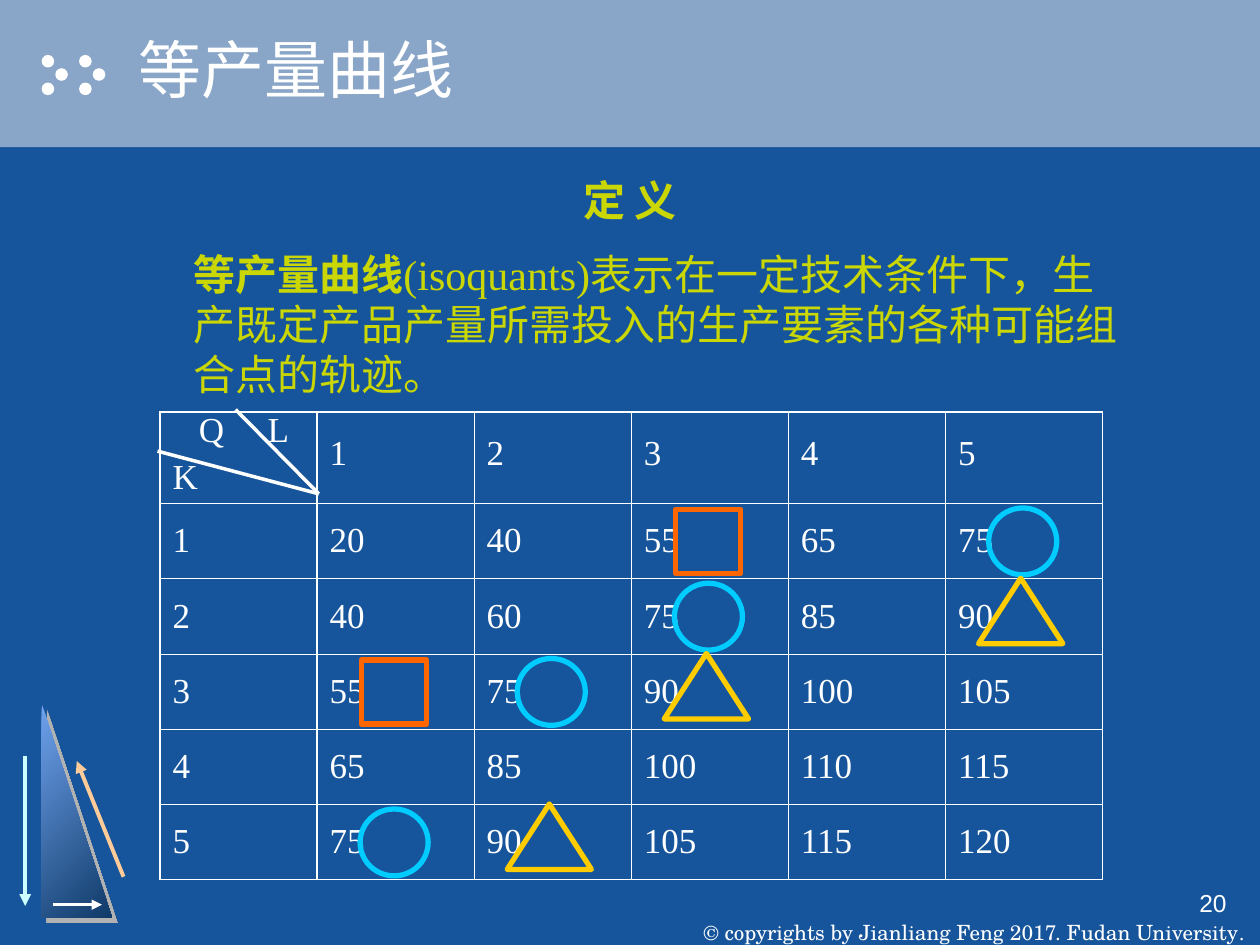
import pptx
import pptx.dml.color
import pptx.enum.dml
import pptx.enum.lang
import pptx.enum.shapes
import pptx.enum.text
import pptx.oxml
import pptx.oxml.ns
import pptx.util

Pt = pptx.util.Pt
SHAPE = pptx.enum.shapes.MSO_SHAPE
ALIGN = pptx.enum.text.PP_ALIGN
ANCHOR = pptx.enum.text.MSO_ANCHOR
SERIF = "Times New Roman"
NS = pptx.oxml.ns.nsdecls("a")

COLORS = {
    "background": "16559B", "band": "89A5C7", "white": "FFFFFF",
    "definition": "CAD704", "title_shadow": "331133",
    "slope_light": "6FA2ED", "slope_dark": "0F3A68", "slope_shadow": "B2B2B2",
    "down": "CCFFFF", "up": "FFCC99",
    "square": "FF6600", "circle": "00CCFF", "triangle": "FFCC00",
}

# Output for capital K (row header) and labour L (column header)
OUTPUTS = [
    [20, 40, 55, 65, 75],
    [40, 60, 75, 85, 90],
    [55, 75, 90, 100, 105],
    [65, 85, 100, 110, 115],
    [75, 90, 105, 115, 120],
]
TABLE_LEFT, TABLE_TOP = 91.4, 235.4
COLUMN_WIDTH, HEADER_HEIGHT, ROW_HEIGHT = 89.8, 52.3, 43

# Output level: shape, colour, offset in the cell, width and height
ISOQUANT_MARKS = {
    55: (SHAPE.RECTANGLE, "square", 25.2, 3.4, 37.4, 36.7),
    75: (SHAPE.OVAL, "circle", 24.6, 2.6, 38.9, 38.2),
    90: (SHAPE.ISOSCELES_TRIANGLE, "triangle", 18.8, -0.3, 48.2, 37.4),
}


def rgb(name):
    return pptx.dml.color.RGBColor.from_string(COLORS[name])


def shadow_xml(color, distance):
    """Return an effect list with a hard shadow to the lower right."""
    return pptx.oxml.parse_xml(
        f'<a:effectLst {NS}><a:outerShdw dist="{Pt(distance)}" dir="2700000">'
        f'<a:srgbClr val="{COLORS[color]}"/></a:outerShdw></a:effectLst>')


def write(paragraph, text, size=20, font=SERIF, color="white", bold=False,
          align=None, before=None, spacing=None, shadow=None):
    """Append a formatted run to a paragraph and set the paragraph's layout."""
    if align is not None:
        paragraph.alignment = align
    if before is not None:
        paragraph.space_before = Pt(before)
    if spacing is not None:
        paragraph.line_spacing = spacing
    run = paragraph.add_run()
    run.text = text
    run.font.size = Pt(size)
    run.font.name = font
    run.font.bold = bold
    run.font.color.rgb = rgb(color)
    run.font.language_id = pptx.enum.lang.MSO_LANGUAGE_ID.SIMPLIFIED_CHINESE
    if shadow:
        fill = run.font._element.find(pptx.oxml.ns.qn("a:solidFill"))
        fill.addnext(shadow_xml(shadow, 1))


def add_text_frame(slide, left, top, width, height, anchor=ANCHOR.TOP, wrap=True):
    frame = slide.shapes.add_textbox(Pt(left), Pt(top), Pt(width), Pt(height)).text_frame
    frame.word_wrap = wrap
    frame.vertical_anchor = anchor
    return frame


def add_shape(shapes, kind, left, top, width, height, fill=None, outline=None):
    shape = shapes.add_shape(kind, Pt(left), Pt(top), Pt(width), Pt(height))
    shape.shadow.inherit = False
    if fill:
        shape.fill.solid()
        shape.fill.fore_color.rgb = rgb(fill)
    else:
        shape.fill.background()
    if outline:
        shape.line.color.rgb = rgb(outline)
        shape.line.width = Pt(3)
    else:
        shape.line.fill.background()
    return shape


def add_line(shapes, start, end, color, width, arrow=False):
    line = shapes.add_connector(
        pptx.enum.shapes.MSO_CONNECTOR.STRAIGHT, *map(Pt, start + end))
    line.line.color.rgb = rgb(color)
    line.line.width = Pt(width)
    properties = line._element.spPr
    if arrow:
        properties.find(pptx.oxml.ns.qn("a:ln")).append(
            pptx.oxml.parse_xml(f'<a:tailEnd {NS} type="triangle"/>'))
    properties.append(pptx.oxml.parse_xml(f"<a:effectLst {NS}/>"))


def add_header(slide):
    add_shape(slide.shapes, SHAPE.RECTANGLE, 0, 0, 720, 84.2, fill="band")
    dots = slide.shapes.add_group_shape().shapes
    for left in (23.8, 45.2):
        for shift, top in ((0, 31.4), (7.8, 39), (0, 47.2)):
            add_shape(dots, SHAPE.OVAL, left + shift, top, 7.2, 7.2, fill="white")
    title = add_text_frame(slide, 72, 0, 648, 78, anchor=ANCHOR.MIDDLE)
    write(title.paragraphs[0], "等产量曲线", size=36, font="Arial", shadow="title_shadow")


def add_slope(slide):
    """Draw the shaded triangle and the arrows along its sides."""
    slope = add_shape(slide.shapes, SHAPE.RIGHT_TRIANGLE, 23.8, 402, 40.3, 122.4)
    slope.fill.gradient()
    slope.fill.gradient_angle = 315
    for stop, color in zip(slope.fill.gradient_stops, ("slope_light", "slope_dark")):
        stop.color.rgb = rgb(color)
    properties = slope._element.spPr
    properties.replace(properties.find(pptx.oxml.ns.qn("a:effectLst")),
                       shadow_xml("slope_shadow", 4.2))
    add_line(slide.shapes, (14.4, 432), (14.4, 517.7), "down", 2.25, arrow=True)
    add_line(slide.shapes, (70.6, 501), (43.9, 434.9), "up", 2.25, arrow=True)
    add_line(slide.shapes, (30.2, 517), (58.3, 517), "white", 1.5, arrow=True)


def add_footer(slide):
    notice = add_text_frame(slide, 393, 504, 327, 36, anchor=ANCHOR.BOTTOM, wrap=False)
    notice.margin_top = notice.margin_bottom = 0
    line = notice.paragraphs[0]
    write(line, "© copyrights by Jianliang Feng 2017. Fudan University", size=12,
          font="TeX Gyre Schola", align=ALIGN.CENTER)
    write(line, ".", size=12)
    number = add_text_frame(slide, 558, 504, 150, 36)
    write(number.paragraphs[0], "20", size=14, font="Arial", align=ALIGN.RIGHT)


def add_definition(slide):
    frame = add_text_frame(slide, 66, 96, 588, 360)
    write(frame.paragraphs[0], "定 义", size=24, color="definition", bold=True,
          align=ALIGN.CENTER)
    body = frame.add_paragraph()
    body._p.get_or_add_pPr().set("marL", str(Pt(37.5)))
    write(body, "等产量曲线", size=24, color="definition", bold=True, before=13.5)
    write(body, "(isoquants)表示在一定技术条件下，生产既定产品产量所需投入的"
          "生产要素的各种可能组合点的轨迹。", size=24, color="definition")


def set_borders(cell, row, column):
    """Draw heavier rules round the table and beside its headers."""
    edges = {"L": column, "R": column + 1, "T": row, "B": row + 1}
    for side, boundary in edges.items():
        width = Pt(1.08 if boundary in (0, 1, 6) else 0.45)
        cell._tc.get_or_add_tcPr().append(pptx.oxml.parse_xml(
            f'<a:ln{side} {NS} w="{width}"><a:solidFill>'
            f'<a:srgbClr val="{COLORS["white"]}"/></a:solidFill></a:ln{side}>'))


def write_corner(frame):
    """Label the corner cell with output Q, labour L and capital K."""
    top = frame.paragraphs[0]
    write(top, "\tQ\tL", spacing=0.7)
    top._p.get_or_add_pPr().append(pptx.oxml.parse_xml(
        f'<a:tabLst {NS}><a:tab pos="{Pt(15)}" algn="l"/>'
        f'<a:tab pos="{Pt(54.3)}" algn="l"/></a:tabLst>'))
    write(frame.add_paragraph(), "K", before=11.2, spacing=0.7)


def add_output_table(slide):
    rows = [["", 1, 2, 3, 4, 5]] + [[k, *row] for k, row in enumerate(OUTPUTS, 1)]
    table = slide.shapes.add_table(
        6, 6, Pt(TABLE_LEFT), Pt(TABLE_TOP), Pt(6 * COLUMN_WIDTH),
        Pt(HEADER_HEIGHT + 5 * ROW_HEIGHT)).table
    table.first_row = table.horz_banding = False
    for column in table.columns:
        column.width = Pt(COLUMN_WIDTH)
    for r, values in enumerate(rows):
        table.rows[r].height = Pt(ROW_HEIGHT if r else HEADER_HEIGHT)
        for c, value in enumerate(values):
            cell = table.cell(r, c)
            cell.vertical_anchor = ANCHOR.MIDDLE
            set_borders(cell, r, c)
            cell.fill.background()
            if r == c == 0:
                write_corner(cell.text_frame)
            else:
                write(cell.text_frame.paragraphs[0], str(value),
                      spacing=None if r else 0.7)
    dividers = slide.shapes.add_group_shape().shapes
    for start in ((134.6, 234), (90, 257.8)):
        add_line(dividers, start, (182.2, 282.2), "white", 2)


def add_isoquant_marks(slide):
    """Mark equal outputs in the table with the same shape."""
    for level, (kind, color, dx, dy, width, height) in ISOQUANT_MARKS.items():
        marks = slide.shapes.add_group_shape().shapes
        for r, row in enumerate(OUTPUTS):
            if level in row:
                left = TABLE_LEFT + (row.index(level) + 1) * COLUMN_WIDTH + dx
                top = TABLE_TOP + HEADER_HEIGHT + r * ROW_HEIGHT + dy
                add_shape(marks, kind, left, top, width, height, outline=color)


def main():
    presentation = pptx.Presentation()
    presentation.slide_width, presentation.slide_height = Pt(720), Pt(540)
    slide = presentation.slides.add_slide(presentation.slide_layouts[6])
    slide.background.fill.solid()
    slide.background.fill.fore_color.rgb = rgb("background")
    add_header(slide)
    add_slope(slide)
    add_footer(slide)
    add_definition(slide)
    add_output_table(slide)
    add_isoquant_marks(slide)
    presentation.save("out.pptx")


if __name__ == "__main__":
    main()
